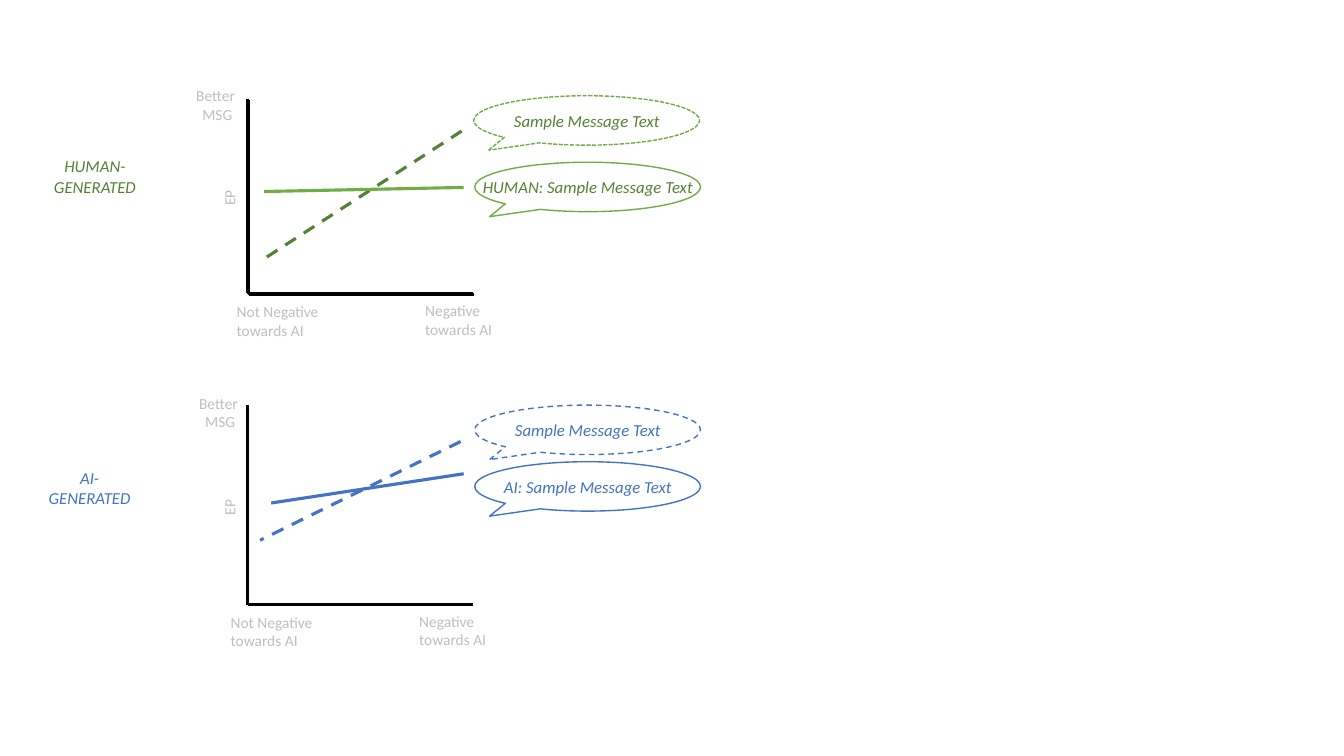
from dataclasses import dataclass

from lxml import etree
from pptx import Presentation
from pptx.dml.color import RGBColor
from pptx.enum.dml import MSO_LINE
from pptx.enum.shapes import MSO_CONNECTOR, MSO_SHAPE
from pptx.enum.text import MSO_AUTO_SIZE, PP_ALIGN
from pptx.oxml.ns import qn
from pptx.util import Pt

CALLOUT = MSO_SHAPE.OVAL_CALLOUT
STRAIGHT = MSO_CONNECTOR.STRAIGHT
DASH, FINE_DASH = MSO_LINE.DASH, MSO_LINE.SQUARE_DOT
LEFT, CENTER = PP_ALIGN.LEFT, PP_ALIGN.CENTER
FIT_SHAPE = MSO_AUTO_SIZE.SHAPE_TO_FIT_TEXT


@dataclass(frozen=True)
class Theme:
    """Colours and type sizes of the slide."""
    font: str = "Calibri"
    message_size: float = 12
    axis_size: float = 11
    axis: str = "000000"
    paper: str = "FFFFFF"
    muted: str = "BFBFBF"
    green: str = "70AD47"
    dark_green: str = "548235"
    blue: str = "4472C4"
    chart_line: float = 2.25
    callout_line: float = 1


@dataclass(frozen=True)
class Panel:
    """Content of one chart panel, with positions relative to its box."""
    title: str
    title_at: tuple
    ink: str
    accent: str
    axes: tuple
    dashed_trend: tuple
    solid_trend: tuple
    callouts: tuple
    axis_labels: tuple


THEME = Theme()

HUMAN = Panel(
    title="HUMAN-\nGENERATED", title_at=(-20, 50),
    ink=THEME.dark_green, accent=THEME.green,
    axes=((177.8, 13.3, 177.8, 152.2), (338.4, 152.2, 177.8, 152.2),
          (177.1, 12.6, 177.1, 151.5), (337.7, 151.5, 177.1, 151.5)),
    dashed_trend=(329.8, 35.6, 185, 129.2),
    solid_trend=(331.2, 75.9, 188.6, 78.8),
    callouts=(("Sample Message Text", 338.4, 10.4, FINE_DASH),
              ("HUMAN: Sample Message Text", 339.1, 57.9, None)),
    axis_labels=(("Negative towards AI", 296.6, 153.7, 64.1, 33.8, LEFT, 0),
                 ("Not Negative towards AI", 162, 154.4, 82.8, 33.8, LEFT, 0),
                 ("EP", 122.4, 73, 82.8, 20.6, CENTER, 270),
                 ("Better \nMSG", 113.8, 0.3, 82.8, 33.8, CENTER, 0)))

AI = Panel(
    title="AI-\nGENERATED", title_at=(-23.8, 52.5),
    ink=THEME.blue, accent=THEME.blue,
    axes=((177.1, 15, 177.1, 154), (337.7, 154, 177.1, 154),
          (177.1, 11.4, 177.1, 150.4)),
    dashed_trend=(329, 37.4, 185.8, 107.9),
    solid_trend=(331.2, 60.4, 193.7, 81.3),
    callouts=(("Sample Message Text", 339.1, 11.4, DASH),
              ("AI: Sample Message Text", 339.1, 51.8, None)),
    axis_labels=(("Negative towards AI", 292.3, 155.4, 64.1, 33.8, LEFT, 0),
                 ("Not Negative towards AI", 157.7, 156.2, 82.8, 33.8, LEFT, 0),
                 ("EP", 122.4, 74.1, 82.8, 20.6, CENTER, 270),
                 ("Better \nMSG", 115.9, -0.1, 82.8, 33.8, CENTER, 0)))


def add_text(page, text, left, top, width, height, *, size, color,
             italic=False, align=CENTER, rotation=0):
    """Place a text box, turning newlines into line breaks."""
    box = page.shapes.add_textbox(Pt(left), Pt(top), Pt(width), Pt(height))
    box.rotation = rotation
    frame = box.text_frame
    frame.word_wrap = True
    frame.auto_size = FIT_SHAPE
    para = frame.paragraphs[0]
    para.alignment = align
    for index, words in enumerate(text.split("\n")):
        if index:
            para.add_line_break()
        span = para.add_run()
        span.text = words
        span.font.name = THEME.font
        span.font.size = Pt(size)
        span.font.italic = italic
        span.font.color.rgb = RGBColor.from_string(color)


def style_line(line, color, width, dash=None):
    """Set the colour, width and dash of a line."""
    line.color.rgb = RGBColor.from_string(color)
    line.width = Pt(width)
    if dash is not None:
        line.dash_style = dash


def add_line(page, left, top, ends, color, dash=None):
    """Draw a straight chart line between two points of a panel."""
    start_x, start_y, end_x, end_y = ends
    line = page.shapes.add_connector(
        STRAIGHT, Pt(left + start_x), Pt(top + start_y),
        Pt(left + end_x), Pt(top + end_y))
    style_line(line.line, color, THEME.chart_line, dash)
    etree.SubElement(line._element.spPr, qn("a:effectLst"))


def add_callout(page, text, left, top, ink, accent, dash):
    """Draw a speech bubble with its message."""
    bubble = page.shapes.add_shape(CALLOUT, Pt(left), Pt(top), Pt(161.3), Pt(35.3))
    bubble.adjustments[0] = -0.434
    bubble.adjustments[1] = 0.602
    bubble.shadow.inherit = False
    bubble.fill.solid()
    bubble.fill.fore_color.rgb = RGBColor.from_string(THEME.paper)
    style_line(bubble.line, accent, THEME.callout_line, dash)
    add_text(page, text, left - 7, top + 7, 175.7, 21.8,
             size=THEME.message_size, color=ink, italic=True)


def add_panel(page, panel, left, top):
    """Draw one titled line chart with its message callouts."""
    for text, across, down, dash in panel.callouts:
        add_callout(page, text, left + across, top + down,
                    panel.ink, panel.accent, dash)
    title_x, title_y = panel.title_at
    add_text(page, panel.title, left + title_x, top + title_y, 175.7, 36.4,
             size=THEME.message_size, color=panel.ink, italic=True)
    for ends in panel.axes:
        add_line(page, left, top, ends, THEME.axis)
    add_line(page, left, top, panel.dashed_trend, panel.ink, DASH)
    add_line(page, left, top, panel.solid_trend, panel.accent)
    for text, across, down, width, height, align, rotation in panel.axis_labels:
        add_text(page, text, left + across, top + down, width, height,
                 size=THEME.axis_size, color=THEME.muted,
                 align=align, rotation=rotation)


def main():
    """Build and save the deck."""
    deck = Presentation()
    deck.slide_width, deck.slide_height = Pt(960), Pt(540)
    page = deck.slides.add_slide(deck.slide_layouts[6])
    add_panel(page, HUMAN, 0, 58)
    add_panel(page, AI, 0, 278)
    deck.save("out.pptx")


if __name__ == "__main__":
    main()
